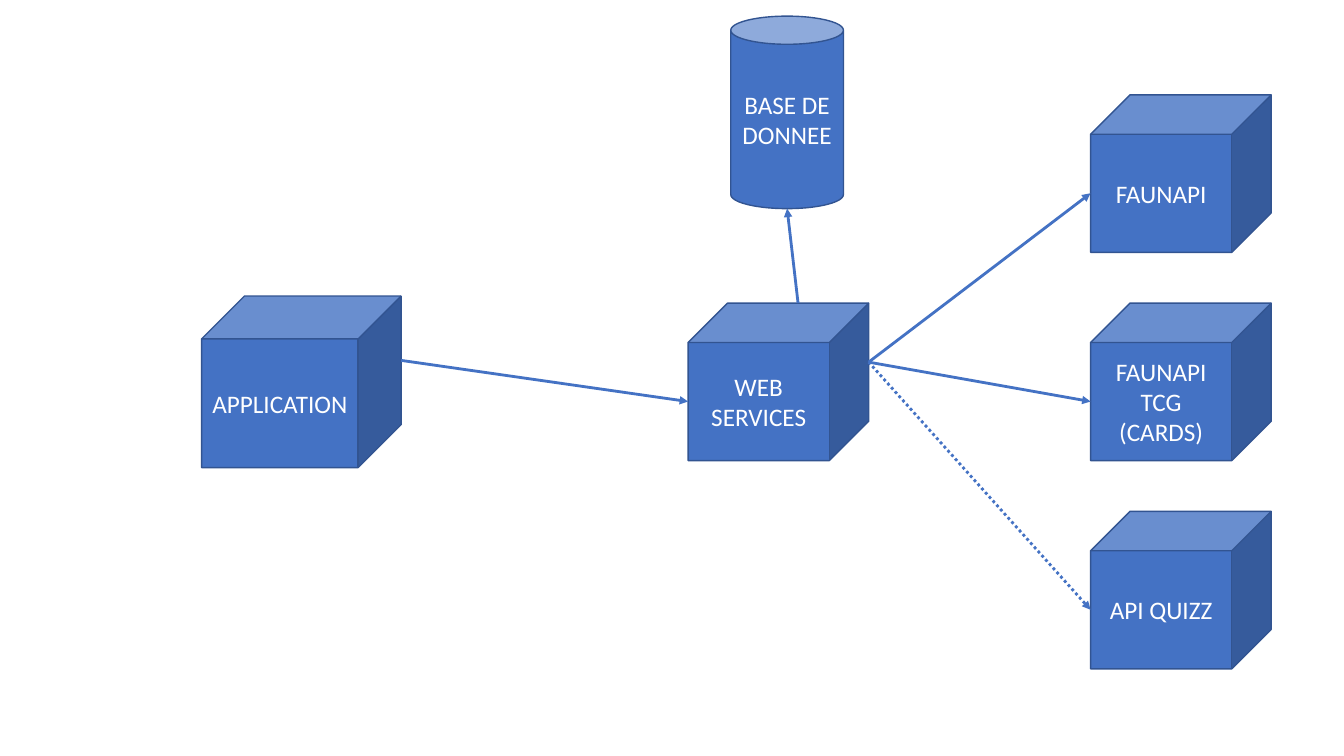
from pptx import Presentation
from pptx.dml.color import RGBColor
from pptx.enum import dml, shapes, text
from pptx.oxml.ns import qn
from pptx.util import Pt
from lxml import etree

BLUE, OUTLINE, WHITE = "4472C4", "325491", "FFFFFF"


def color(value):
    return RGBColor.from_string(value)


deck = Presentation()
deck.slide_width, deck.slide_height = Pt(960), Pt(540)
page = deck.slides.add_slide(deck.slide_layouts[6])

# Components: name, shape, label, left, top, width, height
CUBE, CAN = shapes.MSO_SHAPE.CUBE, shapes.MSO_SHAPE.CAN
API_LEFT, API_TOP, API_STEP = 779, 67.75, 148.75
WIDTH, HEIGHT = 129, 112.5
components = [("database", CAN, "BASE DE DONNEE", 522, 11.5, 80.5, 137.5)]
for row, (name, label) in enumerate([("creatures", "FAUNAPI"),
                                     ("cards", "FAUNAPI TCG (CARDS)"),
                                     ("quiz", "API QUIZZ")]):
    components.append((name, CUBE, label, API_LEFT, API_TOP + row * API_STEP, WIDTH, HEIGHT))
components += [
    ("services", CUBE, "WEB SERVICES", 491.5, API_TOP + API_STEP, WIDTH, HEIGHT),
    ("application", CUBE, "APPLICATION", 144, 211.5, 142.5, 122.5),
]

# Anchor points on each component's sides, allowing for the cube's depth
anchors = {}
for name, kind, label, left, top, width, height in components:
    box = page.shapes.add_shape(kind, Pt(left), Pt(top), Pt(width), Pt(height))
    box.shadow.inherit = False
    box.fill.solid()
    box.fill.fore_color.rgb = color(BLUE)
    box.line.color.rgb = color(OUTLINE)
    box.line.width = Pt(1)

    frame = box.text_frame
    frame.text = label
    frame.word_wrap = True
    frame.vertical_anchor = text.MSO_ANCHOR.MIDDLE
    para = frame.paragraphs[0]
    para.alignment = text.PP_ALIGN.CENTER
    span = para.runs[0]
    span.font.name = "Calibri"
    span.font.size = Pt(18)
    span.font.color.rgb = color(WHITE)

    depth = min(width, height) / 4 if kind == CUBE else 0
    anchors[name] = {
        "top": (left + (width + depth) / 2, top),
        "left": (left, top + (height + depth) / 2),
        "bottom": (left + (width - depth) / 2, top + height),
        "right": (left + width, top + (height - depth) / 2),
    }

# Arrows: from component and side, to component and side, dash
DOTTED = dml.MSO_LINE.ROUND_DOT
arrows = [
    ("services", "top", "database", "bottom", None),
    ("services", "right", "creatures", "left", None),
    ("services", "right", "cards", "left", None),
    ("services", "right", "quiz", "left", DOTTED),
    ("application", "right", "services", "left", None),
]
for source, exit_side, target, entry_side, dash in arrows:
    ends = anchors[source][exit_side] + anchors[target][entry_side]
    arrow = page.shapes.add_connector(shapes.MSO_CONNECTOR.STRAIGHT, *map(Pt, ends))
    arrow.line.color.rgb = color(BLUE)
    arrow.line.width = Pt(2)
    if dash:
        arrow.line.dash_style = dash
    etree.SubElement(arrow.line._get_or_add_ln(), qn("a:tailEnd"), type="triangle")
    etree.SubElement(arrow._element.spPr, qn("a:effectLst"))

deck.save("out.pptx")
